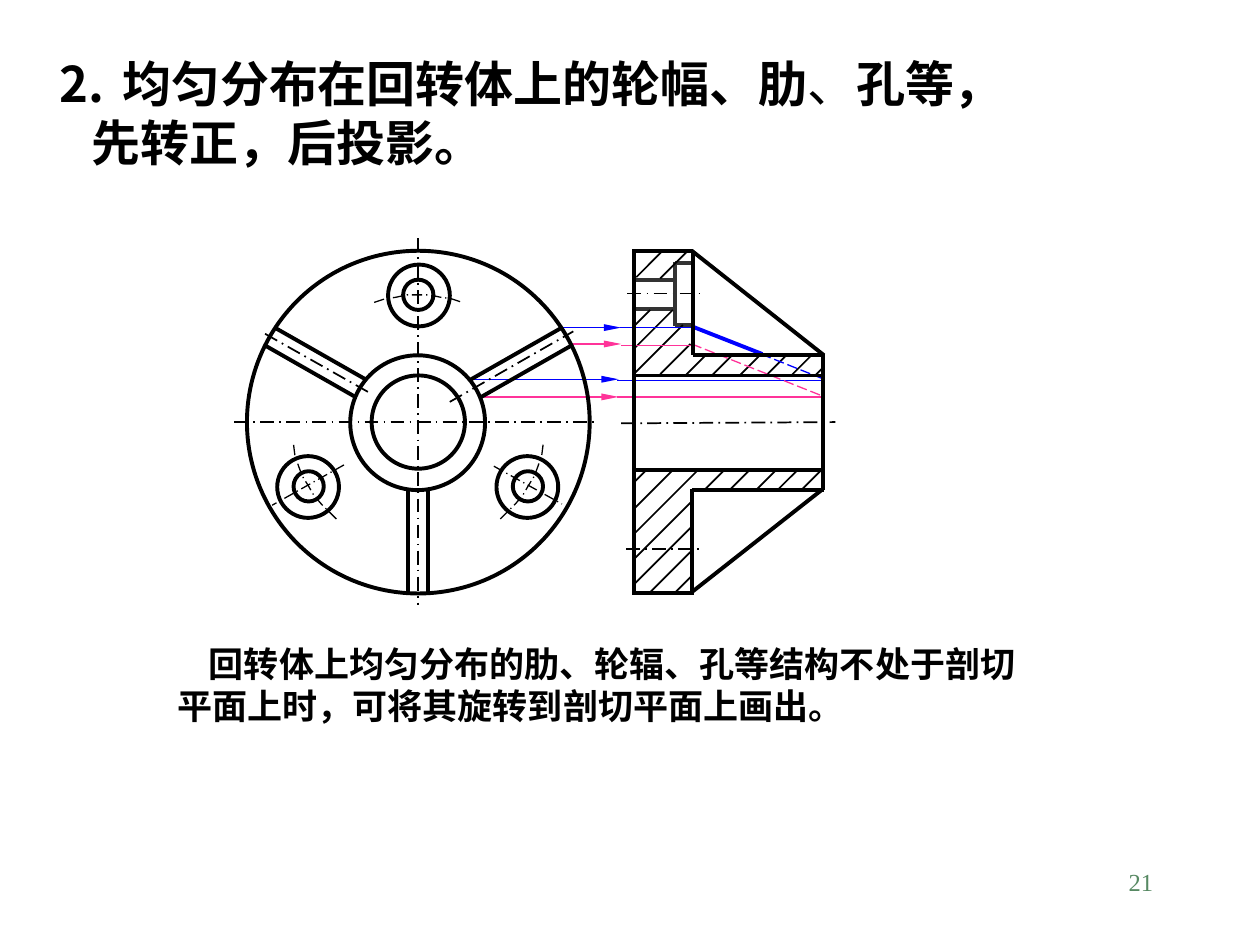
"""Build a slide on rotating evenly spaced ribs and holes into a section plane."""
from math import cos, radians, sin, sqrt

from lxml.etree import SubElement
from pptx import Presentation
from pptx.dml.color import RGBColor
from pptx.enum.dml import MSO_LINE
from pptx.enum.shapes import MSO_CONNECTOR, MSO_SHAPE
from pptx.enum.text import MSO_ANCHOR, MSO_AUTO_SIZE, PP_ALIGN
from pptx.oxml.ns import qn
from pptx.util import Pt

PX = 9144
COLORS = {"black": "000000", "gray": "333333", "blue": "0000FF",
          "pink": "FF3399", "green": "578963"}
CJK, LATIN = "Noto Sans CJK SC", "Times New Roman"

TITLE = [[("2.\t均匀分布在回转体上的轮幅、肋", True), ("、", False), ("孔等，", True)],
         [("先转正，后投影。", True)]]
CAPTION = [[("回转体上均匀分布的肋、轮辐、孔等结构不处于剖切", True)],
           [("平面上时，可将其旋转到剖切平面上画出。", True)]]

DASH, DASH_DOT = MSO_LINE.LONG_DASH, MSO_LINE.LONG_DASH_DOT
STYLES = {
    "outline": ("black", 2.25, None), "counterbore": ("gray", 2.25, None),
    "hatch": ("black", 1, None), "axis": ("black", 1, DASH_DOT),
    "thin axis": ("black", 0.75, DASH_DOT), "blue edge": ("blue", 2.25, None),
    "blue": ("blue", 0.75, None), "blue dash": ("blue", 0.75, DASH),
    "pink": ("pink", 0.75, None), "pink dash": ("pink", 0.75, DASH),
}

SECTION_AXES = [(493, 336, 663, 335), (498, 233, 556, 233), (497, 436, 556, 436)]
RIB_EDGES = [(549, 199, 654, 282), (549, 470, 652, 389)]
COUNTERBORE = [(504, 222, 536, 222), (504, 245, 536, 245), (536, 258, 551, 258),
               (536, 209, 551, 209), (536, 208, 536, 259)]
HATCHES = [
    (505, 220, 21), (524, 221, 21), (503, 277, 31), (503, 297, 39), (524, 297, 24),
    (544, 298, 16), (565, 298, 16), (503, 383, 10), (587, 298, 17), (503, 404, 31),
    (608, 298, 15), (504, 423, 51), (503, 444, 46), (560, 388, 14), (580, 388, 15),
    (601, 388, 14), (628, 298, 17), (503, 464, 46), (515, 471, 33), (535, 471, 13),
    (617, 389, 16), (636, 389, 17), (647, 298, 6), (503, 259, 13)]
PROJECTIONS = [
    ("blue", True, (444, 260, 493, 260)), ("blue", True, (373, 301, 491, 301)),
    ("blue edge", False, (549, 259, 605, 281)), ("blue dash", False, (604, 281, 654, 301)),
    ("blue", False, (492, 260, 550, 260)), ("blue", False, (490, 302, 653, 302)),
    ("pink", True, (452, 273, 493, 273)), ("pink", True, (381, 315, 491, 315)),
    ("pink dash", False, (549, 273, 652, 314)),
    ("pink", False, (493, 274, 550, 274)), ("pink", False, (490, 315, 653, 315))]
SECTION_OUTLINE = [
    (550, 282, 653, 282), (504, 298, 653, 298), (503, 471, 550, 471),
    (550, 199, 550, 282), (653, 281, 653, 389), (503, 373, 654, 373),
    (549, 389, 654, 389), (502, 199, 550, 199), (549, 388, 549, 472),
    (503, 200, 503, 472)]

CENTER = (332, 335)
DISC_DIAMETERS = (272, 107, 74)
HOLE_DIAMETERS = (49, 24)
HOLE_RADIUS, HOLE_ANGLES, ARC_HALF = 101, (-90, 30, 150), 20
RIB_ANGLES, RIB_HALF, RIB_INNER, RIB_OUTER = (-30, -150, 90), 8, 54, 136
FRONT_AXES = [(332, 189, 332, 480), (186, 335, 475, 335),
              (357, 319, 455, 263), (292, 311, 207, 263)]
HOLE_AXES = [(273, 369, 216, 401), (392, 370, 446, 400)]


def rgb(name):
    return RGBColor.from_string(COLORS[name])


def style_line(sp, style):
    color, width, dash = STYLES[style]
    sp.line.color.rgb = rgb(color)
    sp.line.width = Pt(width)
    if dash:
        sp.line.dash_style = dash


def add_line(shapes, points, style, arrow=False):
    c = shapes.add_connector(MSO_CONNECTOR.STRAIGHT, *(v * PX for v in points))
    style_line(c, style)
    sp_pr = c._element.spPr
    if arrow:
        SubElement(sp_pr.find(qn("a:ln")), qn("a:tailEnd"),
                   type="triangle", w="sm", len="lg")
    SubElement(sp_pr, qn("a:effectLst"))


def add_lines(shapes, lines, style):
    for points in lines:
        add_line(shapes, points, style)


def add_circle(shapes, center, diameter):
    x, y = (round(v - diameter / 2) * PX for v in center)
    sp = shapes.add_shape(MSO_SHAPE.OVAL, x, y, diameter * PX, diameter * PX)
    sp.fill.background()
    sp.shadow.inherit = False
    style_line(sp, "outline")


def polar(radius, angle, offset=0):
    a = radians(angle)
    return (round(CENTER[0] + radius * cos(a) - offset * sin(a)),
            round(CENTER[1] + radius * sin(a) + offset * cos(a)))


def add_arc(shapes, angle):
    points = [polar(HOLE_RADIUS, angle + d) for d in range(-ARC_HALF, ARC_HALF + 1, 5)]
    builder = shapes.build_freeform(*points[0], scale=PX)
    builder.add_line_segments(points[1:], close=False)
    builder.move_to(*CENTER)
    sp = builder.convert_to_shape()
    sp.fill.background()
    sp.shadow.inherit = False
    style_line(sp, "thin axis")


def place(sp, box):
    sp.left, sp.top, sp.width, sp.height = (v * PX for v in box)


def fill_text(sp, box, paragraphs, size, top_inset, indents):
    place(sp, box)
    tf = sp.text_frame
    tf.word_wrap, tf.auto_size = True, MSO_AUTO_SIZE.NONE
    tf.vertical_anchor = MSO_ANCHOR.MIDDLE
    tf.margin_left = tf.margin_right = 10 * PX
    tf.margin_top, tf.margin_bottom = top_inset * PX, 5 * PX
    for i, (runs, indent) in enumerate(zip(paragraphs, indents)):
        p = tf.paragraphs[0] if i == 0 else tf.add_paragraph()
        p.alignment, p.line_spacing = PP_ALIGN.LEFT, Pt(size * 1.2)
        p_pr = p._p.get_or_add_pPr()
        p_pr.set("marL", "0")
        p_pr.set("indent", str(indent * PX))
        if "\t" in runs[0][0]:
            tabs = SubElement(p_pr, qn("a:tabLst"))
            SubElement(tabs, qn("a:tab"), pos=str(52 * PX), algn="l")
        for text, bold in runs:
            r = p.add_run()
            r.text = text
            r.font.size, r.font.bold, r.font.name = Pt(size), bold, CJK
            r.font.color.rgb = rgb("black")
            SubElement(r._r.get_or_add_rPr(), qn("a:ea"), typeface=CJK)


def draw_section(shapes):
    add_lines(shapes, SECTION_AXES, "axis")
    add_lines(shapes, RIB_EDGES, "outline")
    add_lines(shapes.add_group_shape().shapes, COUNTERBORE, "counterbore")
    hatches = [(x, y, x + run, y - run) for x, y, run in HATCHES]
    add_lines(shapes.add_group_shape().shapes, hatches, "hatch")
    projections = shapes.add_group_shape().shapes
    for style, arrow, points in PROJECTIONS:
        add_line(projections, points, style, arrow)
    add_lines(shapes.add_group_shape().shapes, SECTION_OUTLINE, "outline")


def draw_front(shapes):
    for diameter in DISC_DIAMETERS:
        add_circle(shapes, CENTER, diameter)
    for angle in HOLE_ANGLES:
        for diameter in HOLE_DIAMETERS:
            add_circle(shapes, polar(HOLE_RADIUS, angle), diameter)
        add_arc(shapes, angle)
    for angle in RIB_ANGLES:
        for side in (-RIB_HALF, RIB_HALF):
            start, end = (polar(sqrt(radius ** 2 - side ** 2), angle, side)
                          for radius in (RIB_INNER, RIB_OUTER))
            add_line(shapes, start + end, "outline")
    add_lines(shapes, FRONT_AXES, "axis")
    add_lines(shapes, HOLE_AXES, "thin axis")


def main():
    prs = Presentation()
    prs.slide_width, prs.slide_height = 1000 * PX, 750 * PX
    s = prs.slides.add_slide(prs.slide_layouts[5])
    fill_text(s.shapes.title, (37, 35, 963, 103), TITLE, 28, 11, (0, 26))
    caption = s.shapes.add_textbox(0, 0, 0, 0)
    fill_text(caption, (131, 503, 829, 77), CAPTION, 20, 9, (25, 0))
    draw_section(s.shapes)
    draw_front(s.shapes.add_group_shape().shapes)
    number = s.shapes.add_textbox(0, 0, 0, 0)
    place(number, (717, 683, 208, 50))
    number.text_frame.word_wrap = True
    p = number.text_frame.paragraphs[0]
    p.text, p.alignment = "21", PP_ALIGN.RIGHT
    font = p.runs[0].font
    font.size, font.name, font.color.rgb = Pt(14), LATIN, rgb("green")
    prs.save("out.pptx")


if __name__ == "__main__":
    main()
